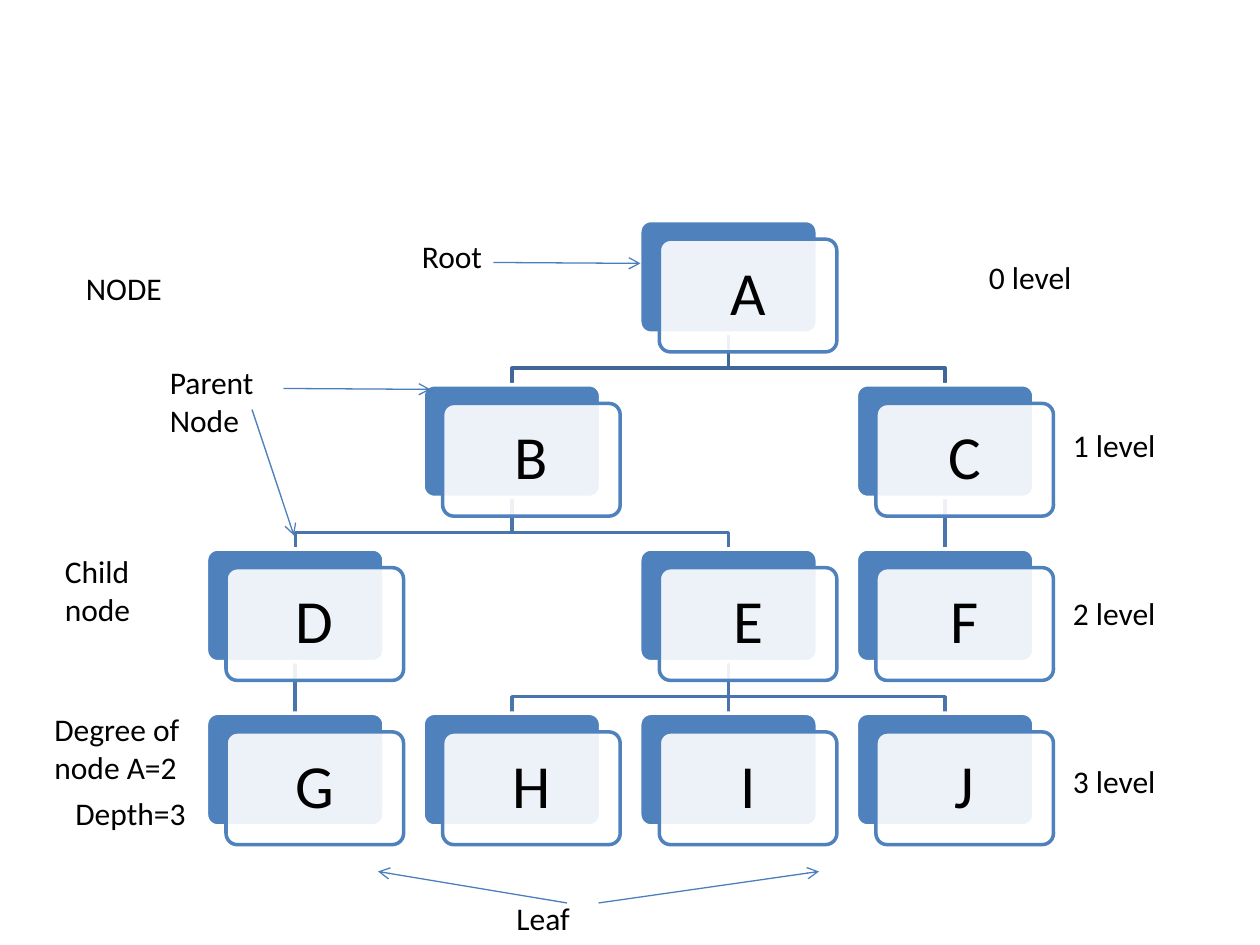
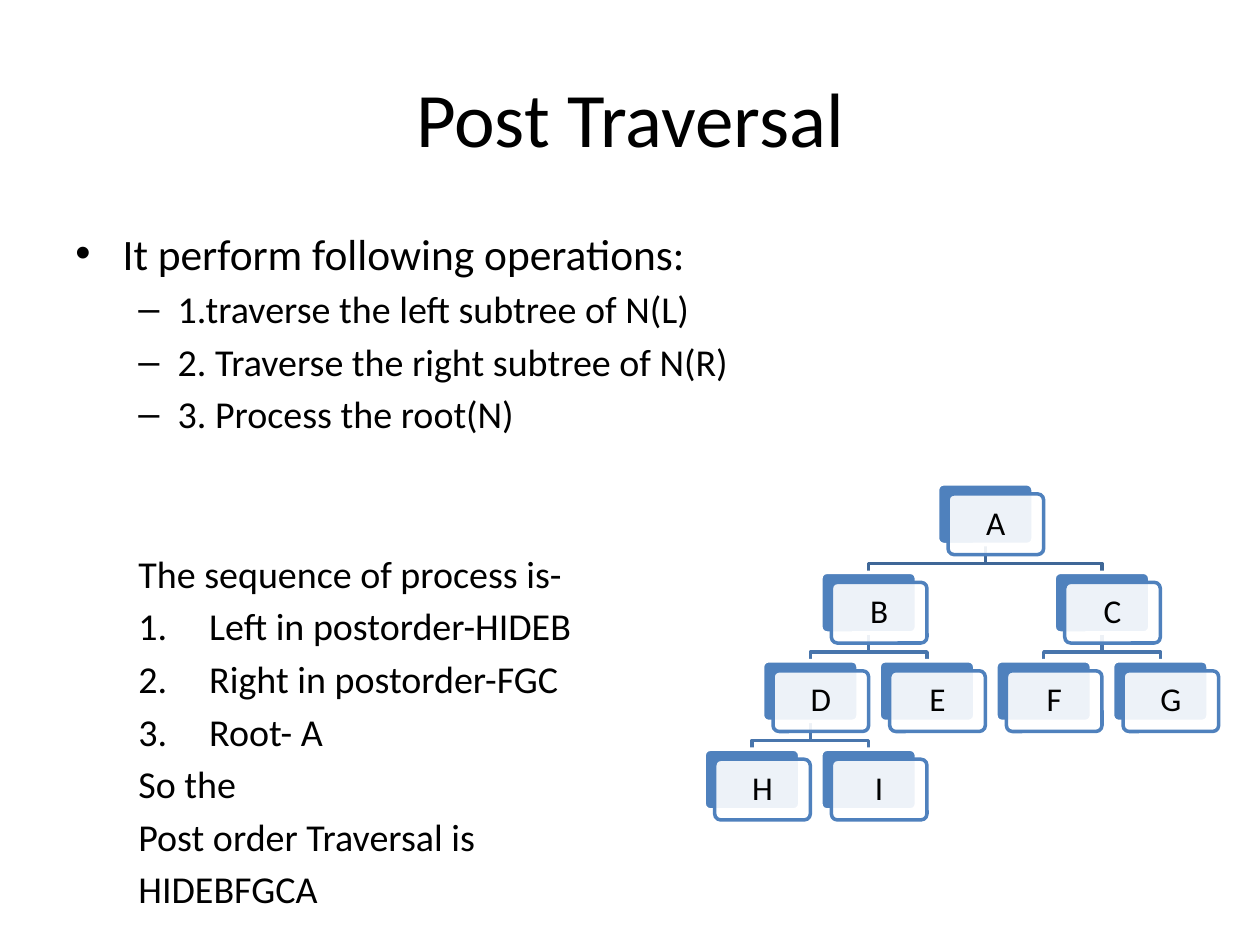
import pptx
import pptx.util
import pptx.dml.color
import pptx.enum.shapes
import pptx.enum.text
import pptx.oxml.ns
import lxml.etree

Pt = pptx.util.Pt
RGBColor = pptx.dml.color.RGBColor
SHAPE = pptx.enum.shapes.MSO_SHAPE
STRAIGHT = pptx.enum.shapes.MSO_CONNECTOR.STRAIGHT
ALIGN = pptx.enum.text.PP_ALIGN
ANCHOR = pptx.enum.text.MSO_ANCHOR
qn = pptx.oxml.ns.qn

BLACK = RGBColor(0x00, 0x00, 0x00)
WHITE = RGBColor(0xFF, 0xFF, 0xFF)
BLUE = RGBColor(0x4F, 0x81, 0xBD)
ROOT_LINK = RGBColor(0x3F, 0x67, 0x97)
LINK = RGBColor(0x48, 0x75, 0xAC)
ARROW = RGBColor(0x4B, 0x7E, 0xBC)
FONT = "Calibri"

# Tree proportions, as multiples of the card width
COL_PITCH, ROW_PITCH = 1.22, 0.925
CARD_H, SHIFT_X, SHIFT_Y = 0.635, 0.11, 0.105
ELBOW = 0.68  # where a link bends, as a share of the gap between rows


def sub(parent, tag, **attrs):
    """Append a DrawingML element."""
    return lxml.etree.SubElement(parent, qn(tag), attrs)


def write(tf, text, size=18, align=ALIGN.LEFT, before=0, line=None,
          indent=(0, 0), bullet=None):
    """Add one formatted paragraph, filling the first one if it is empty."""
    p = tf.paragraphs[0] if not tf.text else tf.add_paragraph()
    p.alignment, p.space_before, p.line_spacing = align, Pt(before), line
    r = p.add_run()
    r.text = text
    r.font.name, r.font.size, r.font.color.rgb = FONT, Pt(size), BLACK
    pPr = p._p.get_or_add_pPr()
    pPr.set("marL", str(Pt(indent[0])))
    pPr.set("indent", str(Pt(indent[1])))
    if bullet == "number":
        sub(pPr, "a:buFont", typeface="+mj-lt")
        sub(pPr, "a:buAutoNum", type="arabicPeriod")
    elif bullet:
        sub(pPr, "a:buFont", typeface="Arial")
        sub(pPr, "a:buChar", char=bullet)
    else:
        sub(pPr, "a:buNone")


def text_box(slide, left, top, width, height):
    """Add a wrapping text box and return its text frame."""
    tf = slide.shapes.add_textbox(Pt(left), Pt(top), Pt(width), Pt(height)).text_frame
    tf.word_wrap = True
    return tf


def straight(shapes, start, end, color, weight, arrow=False):
    """Draw a straight line, with an open arrowhead at its end if asked."""
    s = shapes.add_connector(STRAIGHT, *(Pt(v) for v in (*start, *end)))
    s.line.color.rgb, s.line.width = color, Pt(weight)
    if arrow:
        sub(s.line._get_or_add_ln(), "a:tailEnd", type="arrow")
    sub(s._element.spPr, "a:effectLst")


def link(shapes, start, end, color):
    """Join a parent to a child, with a bend if they are in different columns."""
    if start[0] == end[0]:
        straight(shapes, start, end, color, 2)
        return
    bend = start[1] + ELBOW * (end[1] - start[1])
    points = [(Pt(x), Pt(y)) for x, y in
              (start, (start[0], bend), (end[0], bend), end)]
    fb = shapes.build_freeform(*points[0])
    fb.add_line_segments(points[1:], close=False)
    s = fb.convert_to_shape()
    s.fill.background()
    s.line.color.rgb, s.line.width = color, Pt(2)
    s.shadow.inherit = False


def card(shapes, left, top, width, fill, line):
    """Add one rounded card."""
    s = shapes.add_shape(SHAPE.ROUNDED_RECTANGLE, Pt(left), Pt(top),
                         Pt(width), Pt(width * CARD_H))
    s.adjustments[0] = 0.1
    s.fill.solid()
    s.fill.fore_color.rgb = fill
    s.line.color.rgb, s.line.width = line, Pt(2)
    s.shadow.inherit = False
    return s


def node(shapes, name, left, top, width, size):
    """Draw a node: a blue card with a labelled translucent card over it."""
    card(shapes, left, top, width, BLUE, WHITE)
    s = card(shapes, left + SHIFT_X * width, top + SHIFT_Y * width, width, WHITE, BLUE)
    sub(next(s._element.spPr.iter(qn("a:srgbClr"))), "a:alpha", val="90000")
    tf = s.text_frame
    tf.margin_left = tf.margin_right = tf.margin_top = tf.margin_bottom = Pt(0.1 * width)
    tf.vertical_anchor = ANCHOR.MIDDLE
    write(tf, name, size=size, align=ALIGN.CENTER, line=0.9)


def tree(slide, left, top, width, nodes, children, size):
    """Draw a tree from {name: (column, row)} and {parent: children}."""
    shapes = slide.shapes.add_group_shape().shapes
    last = max(col for col, row in nodes.values())
    w = width / (last * COL_PITCH + 1 + SHIFT_X)
    at = {n: (left + col * COL_PITCH * w, top + row * ROW_PITCH * w)
          for n, (col, row) in nodes.items()}
    for parent, names in children.items():
        x, y = at[parent]
        color = LINK if nodes[parent][1] else ROOT_LINK
        for name in names:
            cx, cy = at[name]
            link(shapes, (x + w / 2, y + CARD_H * w), (cx + w / 2, cy), color)
    for name, (x, y) in at.items():
        node(shapes, name, x, y, w, size)


def terms_slide(prs):
    """Build the slide that names the parts of a tree."""
    slide = prs.slides.add_slide(prs.slide_layouts[6])
    tree(slide, 118, 126, 484,
         {"A": (2, 0), "B": (1, 1), "C": (3, 1), "D": (0, 2), "E": (2, 2),
          "F": (3, 2), "G": (0, 3), "H": (1, 3), "I": (2, 3), "J": (3, 3)},
         {"A": "BC", "B": "DE", "C": "F", "D": "G", "E": "HIJ"}, size=35)
    one, two = 29, 51  # heights of one and two lines
    labels = [("NODE", 42, 150, 126, one), ("Root", 234, 132, 108, one),
              ("Parent Node", 90, 204, 102, two), ("Child node", 30, 312, 66, two),
              ("Degree of node A=2", 24, 402, 102, two),
              ("Depth=3", 36, 450, 90, one), ("Leaf", 288, 510, 168, one),
              ("0 level", 558, 144, 114, one)]
    labels += [(f"{i} level", 606, 144 + 96 * i, 114, one) for i in (1, 2, 3)]
    for text, *box in labels:
        write(text_box(slide, *box), text)
    for start, end in [((282, 150), (366, 150.5)), ((162, 222), (246, 222.5)),
                       ((144, 234), (168, 306)), ((324, 516), (216, 498)),
                       ((342, 516), (468, 498))]:
        straight(slide.shapes, start, end, ARROW, 0.75, arrow=True)


def title(slide, text):
    """Place and format the title placeholder."""
    s = slide.shapes.title
    s.left, s.top, s.width, s.height = Pt(36), Pt(21.6), Pt(648), Pt(90)
    s.text_frame.vertical_anchor = ANCHOR.MIDDLE
    write(s.text_frame, text, size=44, align=ALIGN.CENTER)


def steps(slide, left, top, width, height):
    """Write the traversal steps and the resulting sequence."""
    tf = text_box(slide, left, top, width, height)
    write(tf, "It perform following operations:", size=24.8, before=4,
          indent=(27, -27), bullet="•")
    for text in ("1.traverse the left subtree of N(L)",
                 "2. Traverse the right subtree of N(R)", "3. Process the root(N)"):
        write(tf, text, size=21.7, before=4, indent=(58.5, -22.5), bullet="–")
    write(tf, "The sequence of process is-", size=21.7, before=65, indent=(36, 0))
    for text in ("Left in postorder-HIDEB", "Right in postorder-FGC", "Root- A"):
        write(tf, text, size=21.7, before=4, indent=(76.5, -40.5), bullet="number")
    for text in ("So the", "Post order Traversal is", "HIDEBFGCA"):
        write(tf, text, size=21.7, before=4, indent=(36, 0))


def traversal_slide(prs):
    """Build the post-order traversal slide."""
    slide = prs.slides.add_slide(prs.slide_layouts[5])
    title(slide, "Post Traversal")
    steps(slide, 36, 126, 648, 356.4)
    tree(slide, 402.4, 276.5, 294,
         {"A": (2, 0), "B": (1, 1), "C": (3, 1), "D": (0.5, 2), "E": (1.5, 2),
          "F": (2.5, 2), "G": (3.5, 2), "H": (0, 3), "I": (1, 3)},
         {"A": "BC", "B": "DE", "C": "FG", "D": "HI"}, size=19)


prs = pptx.Presentation()
prs.slide_width, prs.slide_height = Pt(720), Pt(540)
terms_slide(prs)
traversal_slide(prs)
prs.save("out.pptx")
